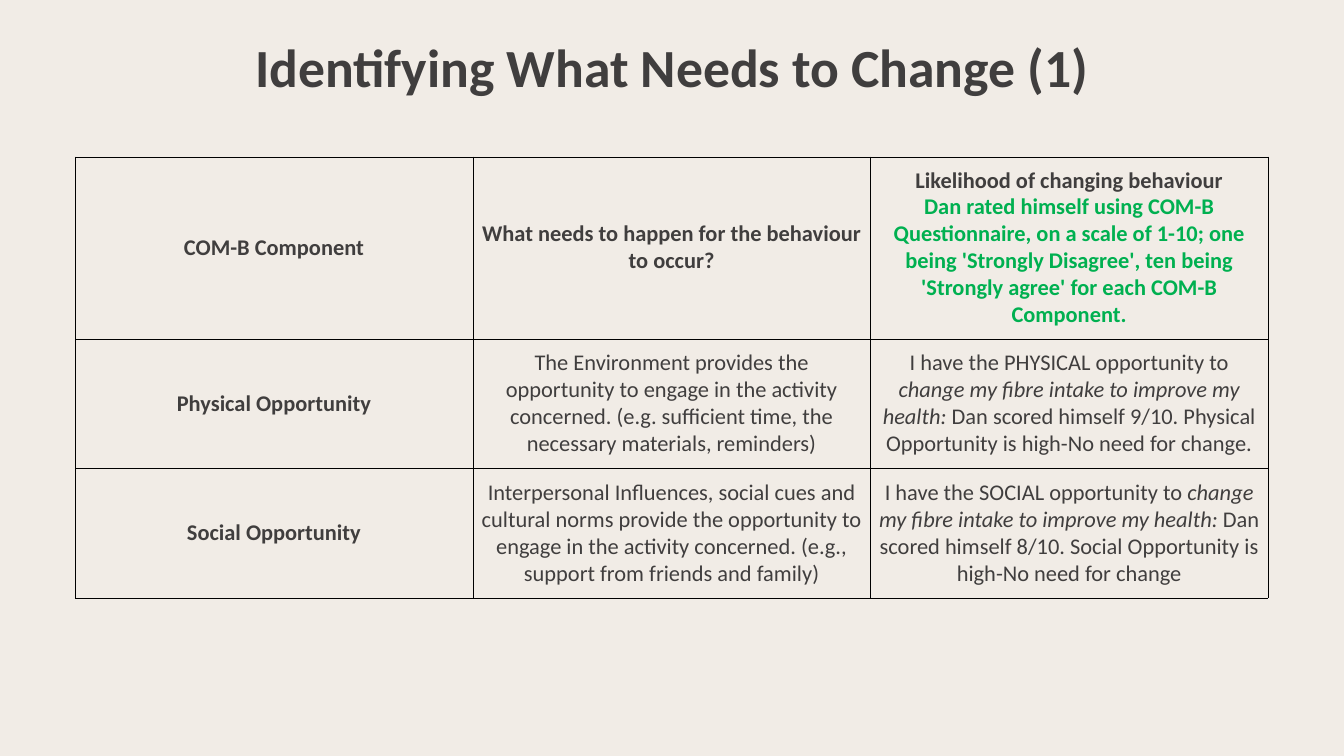
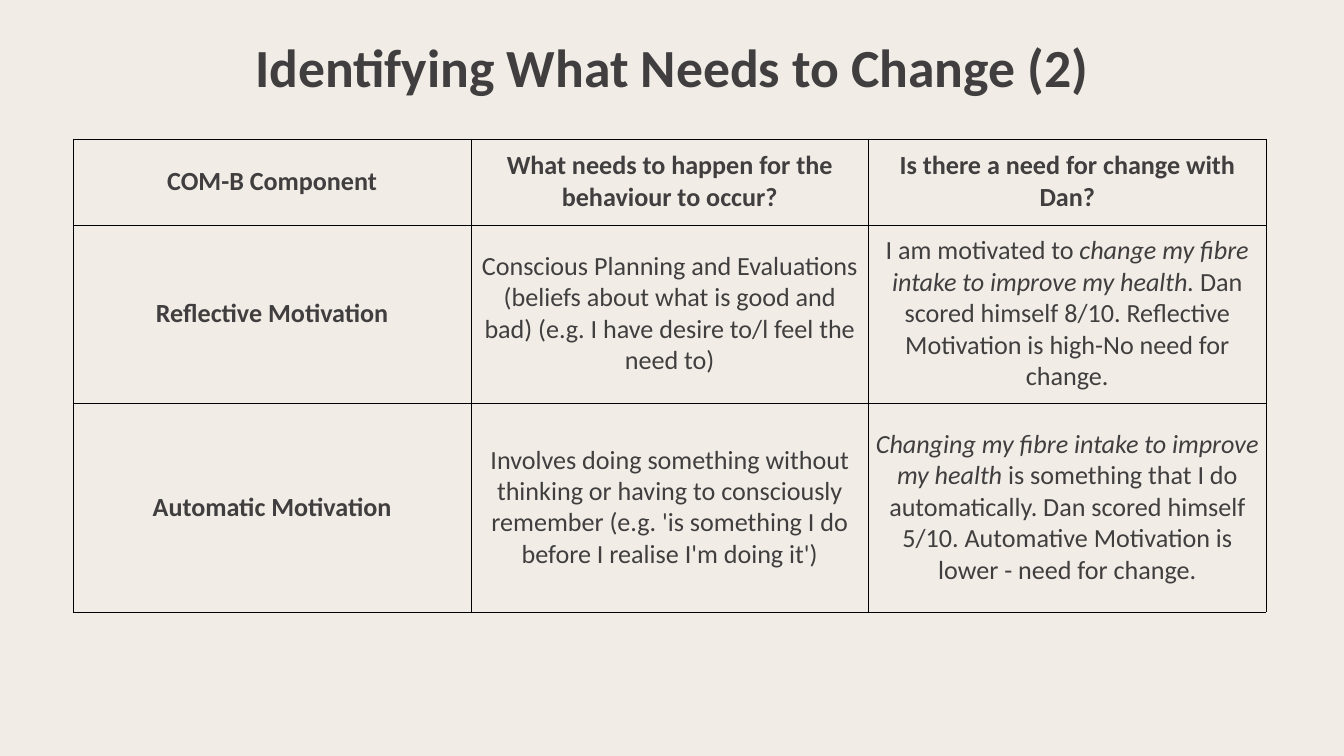
from lxml.etree import SubElement
from pptx import Presentation
from pptx.dml.color import RGBColor
from pptx.enum.text import MSO_ANCHOR, MSO_AUTO_SIZE, PP_ALIGN
from pptx.oxml.ns import qn
from pptx.util import Pt

COLORS = {
    "background": "F1ECE6",
    "text": "403E3E",
    "rating_note": "00B050",
    "border": "000000",
}
FONT = "Calibri"
TITLE_BOX = (266.5, 36.5, 907, 86.5)
COLUMN_WIDTH = 426
CELL_MARGIN = 7.2
BORDER_WIDTH = 0.37

COMPONENT_HEADER = "COM-B Component"
NEEDS_HEADER = "What needs to happen for the behaviour to occur?"
GOAL = "change my fibre intake to improve my health"

# A cell is a list of paragraphs; a paragraph is a list of (text, format) runs.
OPPORTUNITY = [
    [
        [[(COMPONENT_HEADER, {})]],
        [[(NEEDS_HEADER, {})]],
        [
            [("Likelihood of changing behaviour", {})],
            [("Dan rated himself using COM-B Questionnaire, on a scale of 1-10; "
              "one being 'Strongly Disagree', ten being 'Strongly agree' for "
              "each COM-B Component.", {"color": "rating_note"})],
        ],
    ],
    [
        [[("Physical Opportunity", {})]],
        [[("The Environment provides the opportunity to engage in the activity "
           "concerned. (e.g. sufficient time, the necessary materials, "
           "reminders)", {})]],
        [[("I have the PHYSICAL opportunity to ", {}),
          (GOAL + ":", {"italic": True}),
          (" Dan scored himself 9/10. Physical Opportunity is high-No need "
           "for change.", {})]],
    ],
    [
        [[("Social Opportunity", {})]],
        [[("Interpersonal Influences, social cues and cultural norms provide "
           "the opportunity to engage in the activity concerned. (e.g., "
           "support from friends and family)", {})]],
        [[("I have the SOCIAL opportunity to ", {}),
          (GOAL + ":", {"italic": True}),
          (" Dan scored himself 8/10. Social Opportunity is high-No need "
           "for change", {})]],
    ],
]

MOTIVATION = [
    [
        [[(COMPONENT_HEADER, {})]],
        [[(NEEDS_HEADER, {})]],
        [[("Is there a need for change with Dan?", {})]],
    ],
    [
        [[("Reflective Motivation", {})]],
        [[("Conscious Planning and Evaluations (beliefs about what is good and "
           "bad) (e.g. I have desire to/l feel the need to)", {})]],
        [[("I am motivated to ", {}),
          (GOAL + ".", {"italic": True}),
          (" Dan scored himself 8/10. Reflective Motivation is high-No need "
           "for change.", {})]],
    ],
    [
        [[("Automatic Motivation", {})]],
        [[("Involves doing something without thinking or having to consciously "
           "remember (e.g. 'is something I do before I realise I'm doing it')",
           {})]],
        [[("Changing my fibre intake to improve my health", {"italic": True}),
          (" is something that I do automatically. Dan scored himself 5/10. "
           "Automative Motivation is lower - need for change.", {})]],
    ],
]


def rgb(name):
    return RGBColor.from_string(COLORS[name])


def write_text(frame, paragraphs, size, bold=False):
    """Fill a text frame with centred paragraphs of formatted runs."""
    frame.word_wrap = True
    for index, runs in enumerate(paragraphs):
        paragraph = frame.add_paragraph() if index else frame.paragraphs[0]
        paragraph.alignment = PP_ALIGN.CENTER
        paragraph.line_spacing = Pt(size * 1.2)
        for text, style in runs:
            run = paragraph.add_run()
            run.text = text
            run.font.name = FONT
            run.font.size = Pt(size)
            run.font.bold = bold
            run.font.italic = style.get("italic", False)
            run.font.color.rgb = rgb(style.get("color", "text"))


def add_borders(cell):
    properties = cell._tc.get_or_add_tcPr()
    for side in ("lnL", "lnR", "lnT", "lnB"):
        line = SubElement(properties, qn(f"a:{side}"), w=str(int(Pt(BORDER_WIDTH))))
        fill = SubElement(line, qn("a:solidFill"))
        SubElement(fill, qn("a:srgbClr"), val=COLORS["border"])


def add_title(slide, title, box):
    frame = slide.shapes.add_textbox(*map(Pt, box)).text_frame
    frame.margin_left = frame.margin_right = 0
    frame.margin_top = frame.margin_bottom = 0
    write_text(frame, [[(title, {})]], size=57.5, bold=True)
    frame.auto_size = MSO_AUTO_SIZE.SHAPE_TO_FIT_TEXT


def add_component_table(slide, rows, left, top, row_heights, size):
    """Place a table whose header row and component column are bold and filled."""
    column_count = len(rows[0])
    table = slide.shapes.add_table(
        len(rows), column_count, Pt(left), Pt(top),
        Pt(COLUMN_WIDTH * column_count), Pt(sum(row_heights))).table
    table.first_row = table.horz_banding = False
    for column in table.columns:
        column.width = Pt(COLUMN_WIDTH)
    for row_index, (cells, height) in enumerate(zip(rows, row_heights)):
        table.rows[row_index].height = Pt(height)
        for column_index, paragraphs in enumerate(cells):
            cell = table.cell(row_index, column_index)
            is_heading = row_index == 0 or column_index == 0
            cell.vertical_anchor = MSO_ANCHOR.MIDDLE
            cell.margin_left = cell.margin_right = Pt(CELL_MARGIN)
            cell.margin_top = cell.margin_bottom = Pt(CELL_MARGIN)
            add_borders(cell)
            if is_heading:
                cell.fill.solid()
                cell.fill.fore_color.rgb = rgb("background")
            else:
                cell.fill.background()
            write_text(cell.text_frame, paragraphs, size=size, bold=is_heading)


def add_change_slide(deck, number, rows, **table_layout):
    slide = deck.slides.add_slide(deck.slide_layouts[6])
    slide.background.fill.solid()
    slide.background.fill.fore_color.rgb = rgb("background")
    add_title(slide, f"Identifying What Needs to Change ({number})", TITLE_BOX)
    add_component_table(slide, rows, **table_layout)


def main():
    deck = Presentation()
    deck.slide_width, deck.slide_height = Pt(1440), Pt(810)
    add_change_slide(deck, 1, OPPORTUNITY, left=80.5, top=168,
                     row_heights=(195, 139, 139), size=24)
    add_change_slide(deck, 2, MOTIVATION, left=78.5, top=149,
                     row_heights=(92, 191, 224), size=28)
    deck.save("out.pptx")


if __name__ == "__main__":
    main()
